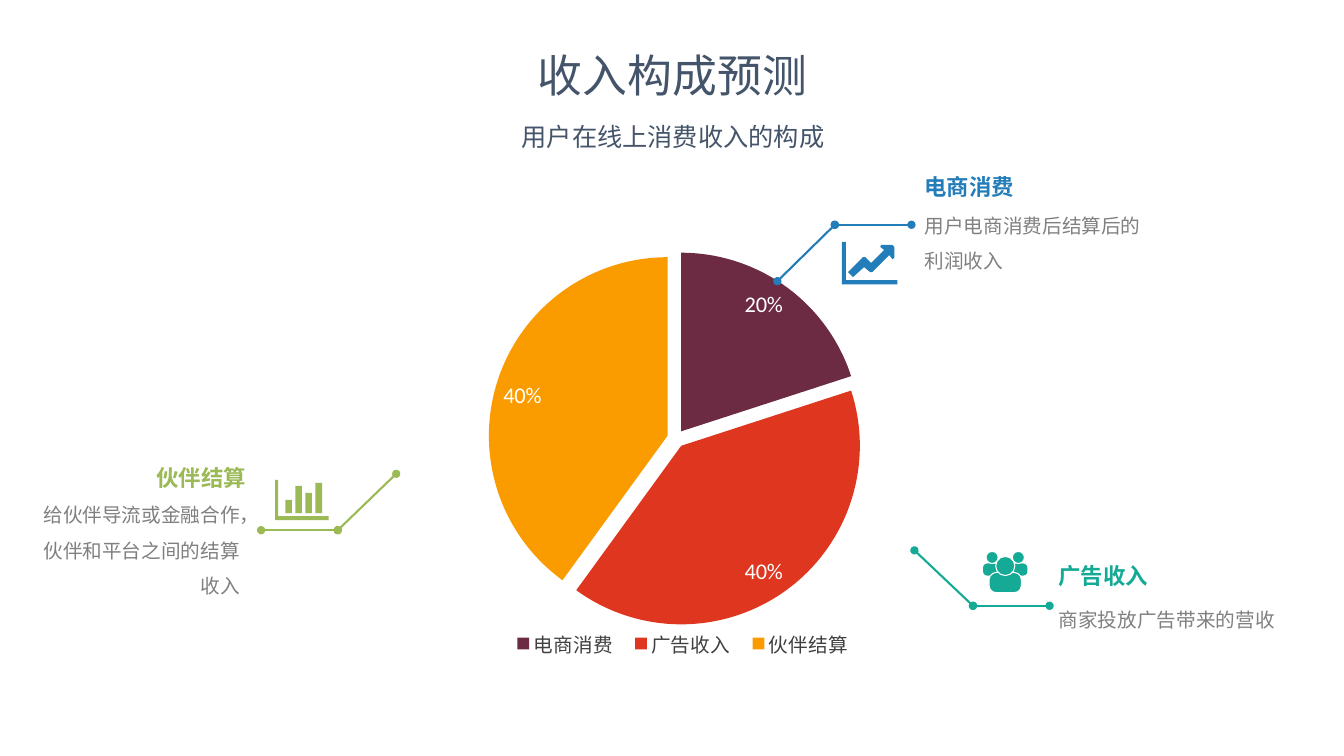
"""Build the revenue forecast slide: a pie chart with three callouts."""
from dataclasses import dataclass

from lxml.etree import SubElement
from pptx import Presentation
from pptx.chart.data import CategoryChartData
from pptx.dml.color import RGBColor
from pptx.enum.chart import XL_CHART_TYPE, XL_LABEL_POSITION, XL_LEGEND_POSITION
from pptx.enum.shapes import MSO_CONNECTOR, MSO_SHAPE
from pptx.enum.text import MSO_ANCHOR, MSO_AUTO_SIZE, PP_ALIGN
from pptx.oxml import parse_xml
from pptx.oxml.ns import nsdecls, qn
from pptx.util import Inches, Pt


@dataclass(frozen=True)
class Theme:
    font: str = "Noto Sans CJK SC"
    chart_font: str = "Calibri"
    title: int = 32
    subtitle: int = 18
    heading: int = 16
    note: int = 14
    navy: str = "44546A"
    grey: str = "808080"
    dark: str = "404040"
    white: str = "FFFFFF"
    blue: str = "237DB9"
    teal: str = "15AA96"
    green: str = "9BB955"
    slices: tuple = ("6C2B43", "DF361F", "FA9C00")


T = Theme()
RGB = RGBColor.from_string
CELL = Inches(0.1)


def cells(*values):
    return [round(v * CELL) for v in values]


def write(sp, text, size, color, align, anchor=MSO_ANCHOR.MIDDLE,
          inset=(0, 0), spacing=1.0, bold=False, wrap=True):
    tf = sp.text_frame
    tf.text = text
    tf.word_wrap, tf.auto_size = wrap, MSO_AUTO_SIZE.NONE
    tf.vertical_anchor = anchor
    tf.margin_left = tf.margin_right = Inches(inset[0])
    tf.margin_top = tf.margin_bottom = Inches(inset[1])
    p = tf.paragraphs[0]
    p.alignment, p.line_spacing = align, spacing
    f = p.font
    f.size, f.bold, f.name = Pt(size), bold, T.font
    f.color.rgb = RGB(color)
    SubElement(p._p.pPr.find(qn("a:defRPr")), qn("a:ea"), typeface=T.font)


prs = Presentation()
prs.slide_width, prs.slide_height = Inches(13.33), Inches(7.5)
s = prs.slides.add_slide(prs.slide_layouts[5])

title = s.shapes.title
title.left, title.top, title.width, title.height = cells(32.9, 4.5, 67.6, 5.9)
write(title, "收入构成预测", T.title, T.navy, PP_ALIGN.CENTER, MSO_ANCHOR.TOP, (0.05, 0.02))
subtitle = s.shapes.add_textbox(*cells(34.9, 10.8, 63.7, 4.6))
write(subtitle, "用户在线上消费收入的构成", T.subtitle, T.navy, PP_ALIGN.CENTER,
      MSO_ANCHOR.TOP, (0.12, 0.06), 1.2)

data = CategoryChartData(number_format="0%")
data.categories = ["电商消费", "广告收入", "伙伴结算"]
data.add_series("Series 1", (0.2, 0.4, 0.4))
chart = s.shapes.add_chart(XL_CHART_TYPE.PIE, *cells(32.6, 23.4, 68.9, 45.2), data).chart
chart.has_title = False
chart.font.name, chart.font.size = T.chart_font, Pt(T.subtitle)
chart.has_legend = True
legend = chart.legend
legend.position = XL_LEGEND_POSITION.BOTTOM
legend.include_in_layout = False
legend.font.size = Pt(T.note)
legend.font.color.rgb = RGB(T.dark)

plot = chart.plots[0]
plot.vary_by_categories = True
plot.has_data_labels = True
labels = plot.data_labels
labels.show_value, labels.show_percentage = True, False
labels.number_format, labels.number_format_is_linked = "0%", False
labels.position = XL_LABEL_POSITION.INSIDE_END
labels.font.size = Pt(T.heading)
labels.font.color.rgb = RGB(T.white)
series = plot.series[0]
for i, color in enumerate(T.slices):
    fill = series.points[i].format.fill
    fill.solid()
    fill.fore_color.rgb = RGB(color)
series._element.find(qn("c:tx")).addnext(
    parse_xml(f'<c:explosion {nsdecls("c")} val="5"/>'))

plot_area = chart._chartSpace.chart.plotArea
for part, index, target, box in (
        (plot_area, 0, '<c:layoutTarget val="inner"/>', (0.23, 0.03, 0.54, 0.83)),
        (legend._element, 1, "", (0.25, 0.86, 0.52, 0.07))):
    for old in part.findall(qn("c:layout")):
        part.remove(old)
    modes = '<c:xMode val="edge"/><c:yMode val="edge"/>'
    sizes = "".join(f'<c:{k} val="{v}"/>' for k, v in zip("xywh", box))
    part.insert(index, parse_xml(
        f'<c:layout {nsdecls("c")}><c:manualLayout>{target}{modes}{sizes}'
        "</c:manualLayout></c:layout>"))

callouts = (
    (T.green, PP_ALIGN.RIGHT, "伙伴结算", (15.4, 46), "给伙伴导流或金融合作，伙伴和平台之间的结算收入",
     (2.9, 48.7, 20.9, 10.6), ((39.3, 47), (33.5, 52.6), (25.9, 52.6))),
    (T.blue, PP_ALIGN.LEFT, "电商消费", (91.7, 17.2), "用户电商消费后结算后的利润收入",
     (91.7, 20, 23.1, 7.1), ((77.1, 27.9), (82.8, 22.3), (90.4, 22.3))),
    (T.teal, PP_ALIGN.LEFT, "广告收入", (105, 55.8), "商家投放广告带来的营收",
     (105, 59.3, 23.1, 3.1), ((90.7, 54.6), (96.5, 60.1), (104.1, 60.1))),
)
for color, align, heading, corner, note, note_box, route in callouts:
    write(s.shapes.add_textbox(*cells(*corner, 9, 2.7)), heading, T.heading, color,
          align, bold=True, wrap=False)
    write(s.shapes.add_textbox(*cells(*note_box)), note, T.note, T.grey, align, spacing=1.5)
    for start, end in zip(route, route[1:]):
        c = s.shapes.add_connector(MSO_CONNECTOR.STRAIGHT, *cells(*start, *end))
        c.line.color.rgb = RGB(color)
        c.line.width = Pt(1.5)
        for tag in ("a:headEnd", "a:tailEnd"):
            SubElement(c.line._get_or_add_ln(), qn(tag), type="oval")
        SubElement(c._element.spPr, qn("a:effectLst"))

trend_icon = (
    ((83.5, 24), (83.9, 24), (83.9, 27.8), (89, 27.8), (89, 28.2), (83.5, 28.2)),
    ((88.7, 25.6), (88.5, 25.7), (88.2, 25.3), (86.5, 27), (86.3, 27), (85.7, 26.5),
     (84.6, 27.5), (84.1, 27), (85.6, 25.5), (85.8, 25.5), (86.4, 26.1), (87.7, 24.8),
     (87.3, 24.5), (87.4, 24.3), (88.5, 24.3), (88.7, 24.5)),
)
bar_icon = [((27.3, 47.6), (27.6, 47.6), (27.6, 51.2), (32.6, 51.2), (32.6, 51.6), (27.3, 51.6))]
for i, top in enumerate((49.6, 48.2, 48.9, 47.9)):
    left = 28.3 + i
    right = left + 0.65
    bar_icon.append(((left, top), (right, top), (right, 50.9), (left, 50.9)))
for color, outlines in ((T.blue, trend_icon), (T.green, bar_icon)):
    fb = s.shapes.build_freeform(*cells(*outlines[0][0]))
    for outline in outlines:
        fb.move_to(*cells(*outline[0]))
        fb.add_line_segments([cells(*pt) for pt in outline[1:]], close=True)
    sp = fb.convert_to_shape()
    sp.shadow.inherit = False
    sp.fill.solid()
    sp.fill.fore_color.rgb = RGB(color)
    sp.line.fill.background()

ROUND, OVAL = MSO_SHAPE.ROUNDED_RECTANGLE, MSO_SHAPE.OVAL
for kind, box, outlined in (
        (ROUND, (97.5, 55.9, 1.5, 1.2), False), (ROUND, (100.4, 55.9, 1.5, 1.2), False),
        (OVAL, (97.8, 54.7, 1.2, 1.2), True), (OVAL, (100.4, 54.7, 1.2, 1.2), True),
        (ROUND, (98.1, 56.8, 3.2, 2), True), (OVAL, (98.75, 55.2, 1.9, 1.9), True)):
    sp = s.shapes.add_shape(kind, *cells(*box))
    sp.shadow.inherit = False
    sp.fill.solid()
    sp.fill.fore_color.rgb = RGB(T.teal)
    if kind == ROUND:
        sp.adjustments[0] = 0.35
    if outlined:
        sp.line.color.rgb = RGB(T.white)
        sp.line.width = Pt(0.75)
    else:
        sp.line.fill.background()

prs.save("out.pptx")
